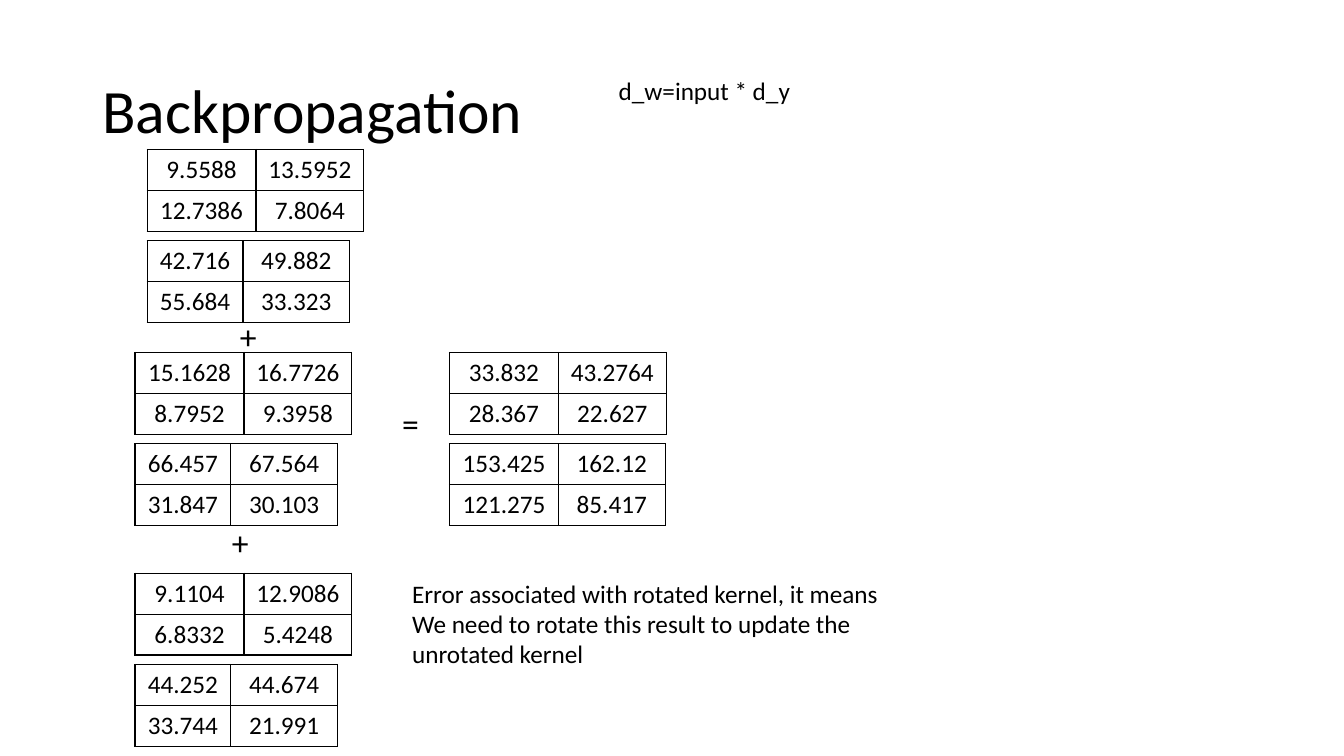
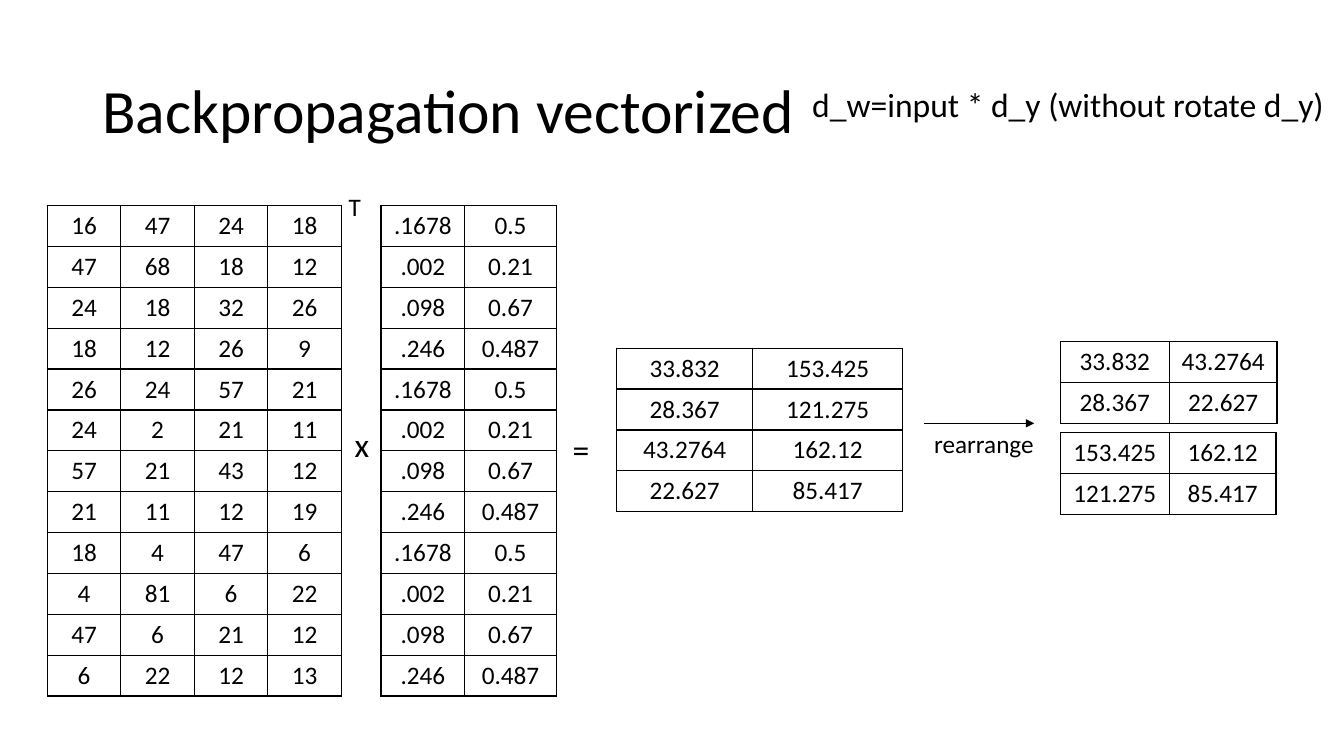
import pptx
import pptx.util
import pptx.dml.color
import pptx.enum.shapes
import pptx.enum.text
import pptx.oxml.ns
import lxml.etree

Pt = pptx.util.Pt
qn = pptx.oxml.ns.qn
BLACK = pptx.dml.color.RGBColor(0, 0, 0)
FONT = "Calibri"
ROW = 29.2
STEP = 65.2
WIDE = (77.8, 77)
SLIM = (68.4, 76.3)
EVEN = (77.8, 76.3)


def write(frame, text, size):
    frame.text = text
    for para in frame.paragraphs:
        for run in para.runs:
            run.font.name = FONT
            run.font.size = Pt(size)
            run.font.color.rgb = BLACK


def grid(page, left, top, widths, rows):
    frame = page.shapes.add_table(len(rows), len(widths), Pt(left), Pt(top),
                                  Pt(sum(widths)), Pt(ROW * len(rows)))
    table = frame.table
    table.first_row = False
    table.horz_banding = False
    for col, width in zip(table.columns, widths):
        col.width = Pt(width)
    for line, row in zip(table.rows, rows):
        line.height = Pt(ROW)
        for cell, value in zip(line.cells, row.split()):
            write(cell.text_frame, value, 18)
            cell.text_frame.paragraphs[0].alignment = pptx.enum.text.PP_ALIGN.CENTER
            props = cell._tc.get_or_add_tcPr()
            for side in ("a:lnL", "a:lnR", "a:lnT", "a:lnB"):
                edge = lxml.etree.SubElement(props, qn(side), w=str(Pt(1)))
                fill = lxml.etree.SubElement(edge, qn("a:solidFill"))
                lxml.etree.SubElement(fill, qn("a:srgbClr"), val=str(BLACK))
            cell.fill.background()


deck = pptx.Presentation()
deck.slide_width = Pt(960)
deck.slide_height = Pt(540)

pages = []
for title in ("Backpropagation", "Backpropagation vectorized"):
    page = deck.slides.add_slide(deck.slide_layouts[6])
    head = page.shapes.add_textbox(Pt(66), Pt(28.8), Pt(828), Pt(104.4)).text_frame
    head.word_wrap = True
    head.vertical_anchor = pptx.enum.text.MSO_ANCHOR.MIDDLE
    write(head, title, 44)
    head.paragraphs[0].line_spacing = 0.9
    pages.append(page)
sums, vector = pages

terms = [
    (105.1, 106.8, ["9.5588 13.5952", "12.7386 7.8064"],
     ["42.716 49.882", "55.684 33.323"]),
    (96.5, 251.7, ["15.1628 16.7726", "8.7952 9.3958"],
     ["66.457 67.564", "31.847 30.103"]),
    (96.5, 409.5, ["9.1104 12.9086", "6.8332 5.4248"],
     ["44.252 44.674", "33.744 21.991"]),
]
for left, top, first, second in terms:
    grid(sums, left, top, WIDE, first)
    grid(sums, left, top + STEP, SLIM, second)

for page, left, top in ((sums, 321.1, 251.7), (vector, 757.4, 244)):
    grid(page, left, top, WIDE, ["33.832 43.2764", "28.367 22.627"])
    grid(page, left, top + STEP, EVEN, ["153.425 162.12", "121.275 85.417"])

inputs = [
    ["16 47 24 18", "47 68 18 12", "24 18 32 26", "18 12 26 9"],
    ["26 24 57 21", "24 2 21 11", "57 21 43 12", "21 11 12 19"],
    ["18 4 47 6", "4 81 6 22", "47 6 21 12", "6 22 12 13"],
]
for i, block in enumerate(inputs):
    grid(vector, 33.8, 146.8 + i * 4 * ROW, [52.5] * 4, block)
grid(vector, 272.2, 146.8, (59.7, 65.5),
     [".1678 0.5", ".002 0.21", ".098 0.67", ".246 0.487"] * 3)
grid(vector, 440.4, 248.7, (97.3, 107),
     ["33.832 153.425", "28.367 121.275", "43.2764 162.12", "22.627 85.417"])

labels = [
    (sums, "d_w=input * d_y", 434.9, 50.4, 139, 29.1, 18),
    (sums, "Error associated with rotated kernel, it means\n"
           "We need to rotate this result to update the\n"
           "unrotated kernel", 287.3, 409.5, 350.6, 72.7, 18),
    (vector, "d_w=input * d_y (without rotate d_y)", 573.1, 56.2, 383.8, 36.4, 24),
    (vector, "T", 241.9, 133.2, 23, 29.1, 18),
    (vector, "rearrange", 660.2, 302.4, 86.4, 29.1, 18),
]
for page, text, left, top, width, height, size in labels:
    frame = page.shapes.add_textbox(Pt(left), Pt(top), Pt(width), Pt(height)).text_frame
    frame.word_wrap = False
    write(frame, text, size)

signs = [
    (sums, "=", 287.3, 288, 33.8),
    (sums, "+", 165.6, 373, 33.8),
    (sums, "+", 171.4, 225.4, 21.6),
    (vector, "x", 253.4, 303.1, 17.3),
    (vector, "=", 409, 306.7, 17.3),
]
for page, text, left, top, width in signs:
    frame = page.shapes.add_textbox(Pt(left), Pt(top), Pt(width), Pt(28.8)).text_frame
    frame.margin_left = frame.margin_right = 0
    frame.margin_top = frame.margin_bottom = 0
    frame.word_wrap = True
    write(frame, text, 24)

arrow = vector.shapes.add_connector(pptx.enum.shapes.MSO_CONNECTOR.STRAIGHT,
                                    Pt(660.2), Pt(302.4), Pt(738.7), Pt(302.4))
arrow.line.color.rgb = BLACK
arrow.line.width = Pt(0.5)
lxml.etree.SubElement(arrow.line._get_or_add_ln(), qn("a:tailEnd"), type="triangle")
lxml.etree.SubElement(arrow._element.spPr, qn("a:effectLst"))

deck.save("out.pptx")
